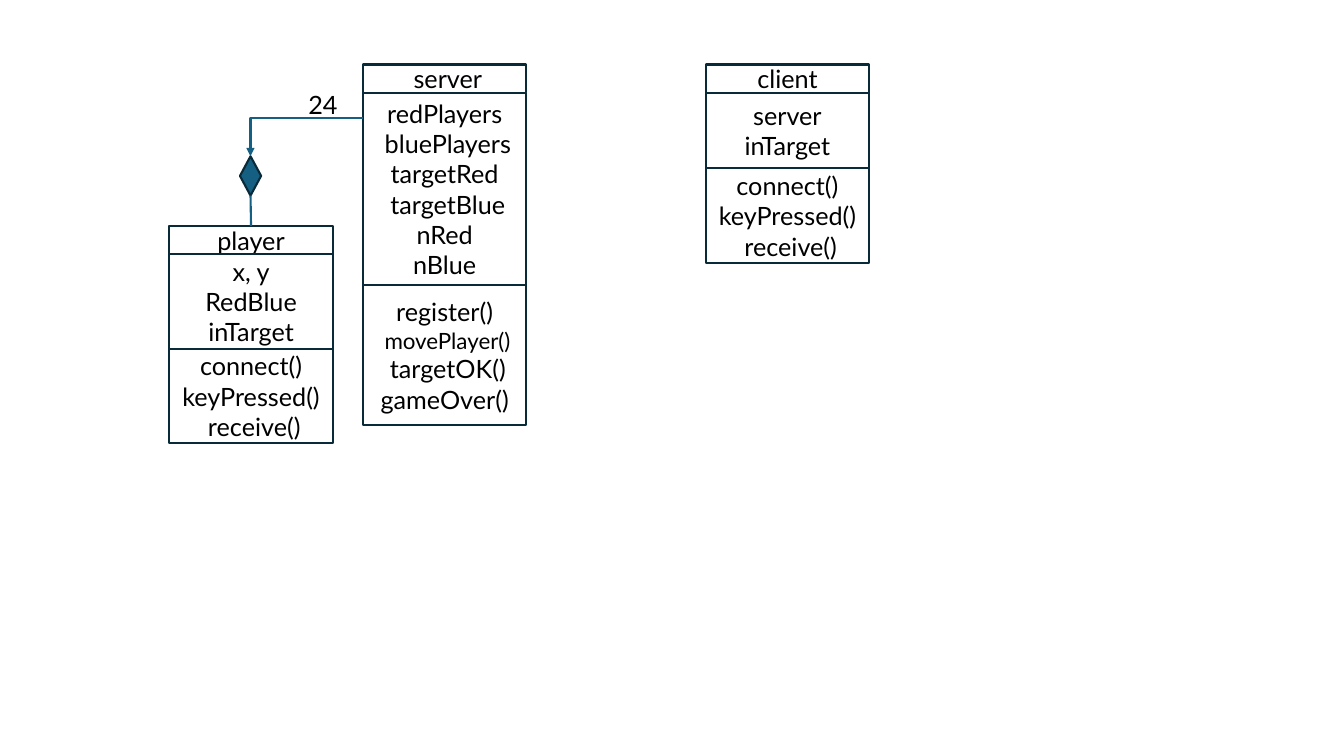
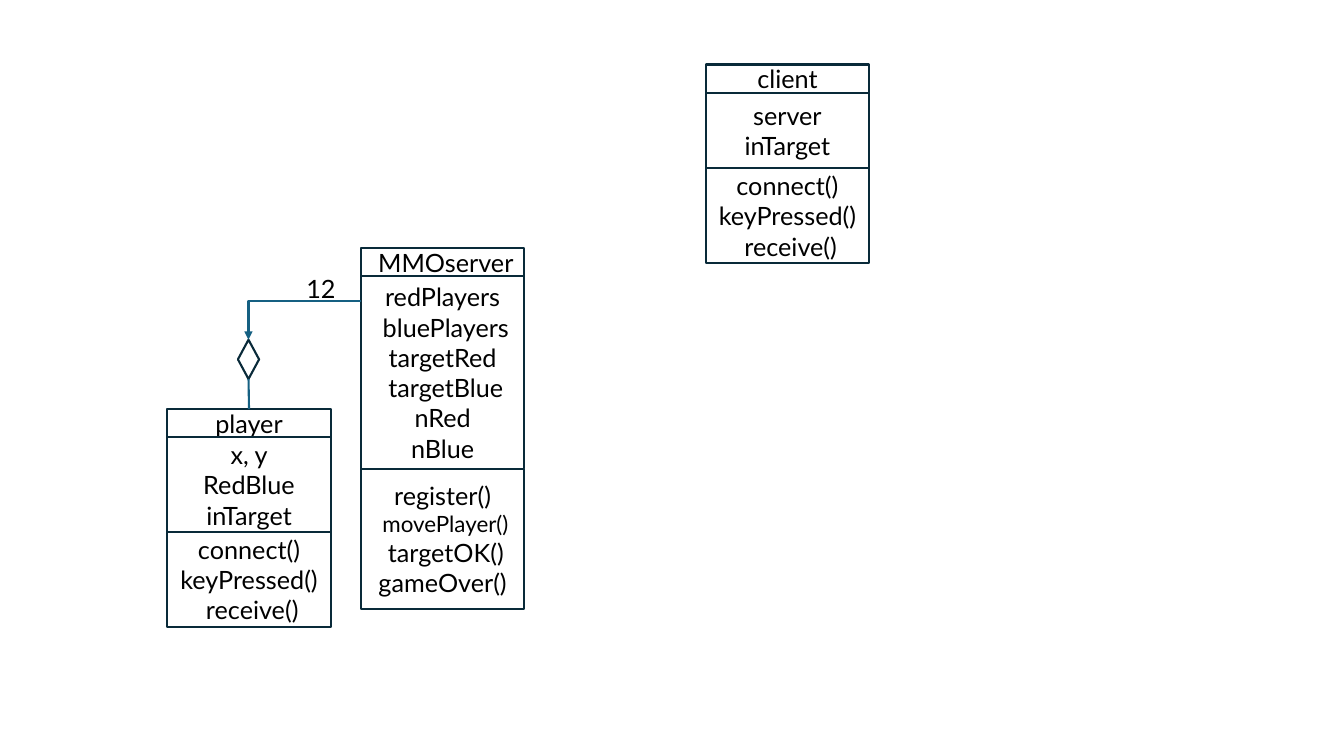
from lxml.etree import SubElement
from pptx import Presentation
from pptx.dml.color import RGBColor
from pptx.enum.shapes import MSO_CONNECTOR, MSO_SHAPE
from pptx.enum.text import MSO_ANCHOR, PP_ALIGN
from pptx.oxml.ns import qn
from pptx.util import Inches, Pt

# Shared style
WHITE, BLACK, OUTLINE, TEAL = "FFFFFF", "000000", "092A39", "156082"
FONT = {"name": "Lato", "size": Pt(18)}
CLASS_WIDTH, NAME_HEIGHT = 1.62, 0.28
DIAMOND_WIDTH, DIAMOND_HEIGHT = 0.21, 0.39
SMALL_MEMBERS = {" movePlayer()": Pt(16)}

# Class compartments: height and members
CALLS = (0.94, ["connect()", "keyPressed()", " receive()"])
CLIENT = [(0.75, ["server", "inTarget"]), CALLS]
PLAYER = [(0.94, ["x, y", "RedBlue", "inTarget"]), CALLS]
SERVER = [
    (1.91, ["redPlayers", " bluePlayers", "targetRed", " targetBlue",
            "nRed", "nBlue"]),
    (1.39, ["register()", " movePlayer()", " targetOK()", "gameOver()"]),
]


def color(hex_string):
    return RGBColor.from_string(hex_string)


class ClassDiagram:
    def __init__(self, width, height):
        self.deck = Presentation()
        self.deck.slide_width = Inches(width)
        self.deck.slide_height = Inches(height)
        self.slide = None

    def new_slide(self):
        self.slide = self.deck.slides.add_slide(self.deck.slide_layouts[6])

    def fill_text(self, frame, lines, align):
        frame.word_wrap = True
        for number, line in enumerate(lines):
            paragraph = frame.add_paragraph() if number else frame.paragraphs[0]
            paragraph.alignment = align
            run = paragraph.add_run()
            run.text = line
            size = SMALL_MEMBERS.get(line, FONT["size"])
            for key, value in {**FONT, "size": size}.items():
                setattr(run.font, key, value)
            run.font.color.rgb = color(BLACK)

    def shape(self, kind, left, top, width, height, fill=WHITE):
        shape = self.slide.shapes.add_shape(
            kind, Inches(left), Inches(top), Inches(width), Inches(height))
        shape.shadow.inherit = False
        shape.fill.solid()
        shape.fill.fore_color.rgb = color(fill)
        shape.line.color.rgb = color(OUTLINE)
        shape.line.width = Pt(1.5)
        return shape

    def class_box(self, name, left, top, compartments):
        """Stack the name and the compartments; return the name box."""
        boxes = []
        for height, lines in [(NAME_HEIGHT, [name]), *compartments]:
            box = self.shape(MSO_SHAPE.RECTANGLE, left, top, CLASS_WIDTH, height)
            box.text_frame.vertical_anchor = MSO_ANCHOR.MIDDLE
            self.fill_text(box.text_frame, lines, PP_ALIGN.CENTER)
            boxes.append(box)
            top += height
        return boxes[0]

    def label(self, text, left, top):
        box = self.slide.shapes.add_textbox(
            Inches(left), Inches(top), Inches(0.64), Inches(0.4))
        self.fill_text(box.text_frame, [text], PP_ALIGN.LEFT)

    def connector(self, kind, start=(0, 0), end=(0, 0)):
        link = self.slide.shapes.add_connector(
            kind, *map(Inches, start), *map(Inches, end))
        link.line.color.rgb = color(TEAL)
        link.line.width = Pt(1.5)
        SubElement(link._element.spPr, qn("a:effectLst"))
        return link

    def corner_arrow(self, start, end):
        arrow = self.connector(MSO_CONNECTOR.ELBOW, start, end)
        arrow._element.spPr.find(qn("a:prstGeom")).set("prst", "bentConnector2")
        line = arrow._element.spPr.find(qn("a:ln"))
        SubElement(line, qn("a:tailEnd"), type="triangle")

    def server_with_players(self, name, left, top, count, diamond_fill):
        self.class_box(name, left, top, SERVER)
        player = self.class_box("player", left - 1.92, top + 1.6, PLAYER)

        # Aggregation between the server and its players
        diamond_left, diamond_top = left - 1.22, top + 0.91
        diamond = self.shape(MSO_SHAPE.FLOWCHART_DECISION, diamond_left,
                             diamond_top, DIAMOND_WIDTH, DIAMOND_HEIGHT,
                             diamond_fill)
        self.corner_arrow((left, top + 0.53),
                          (diamond_left + DIAMOND_WIDTH / 2, diamond_top))
        stem = self.connector(MSO_CONNECTOR.STRAIGHT)
        stem.begin_connect(diamond, 2)
        stem.end_connect(player, 0)
        self.label(count, left - 0.64, top + 0.2)


def main():
    diagram = ClassDiagram(13.33, 7.5)
    for server in [(" server", 3.6, 0.64, "24", TEAL),
                   (" MMOserver", 3.58, 2.46, "12", WHITE)]:
        diagram.new_slide()
        diagram.class_box("client", 7, 0.64, CLIENT)
        diagram.server_with_players(*server)
    diagram.deck.save("out.pptx")


if __name__ == "__main__":
    main()
